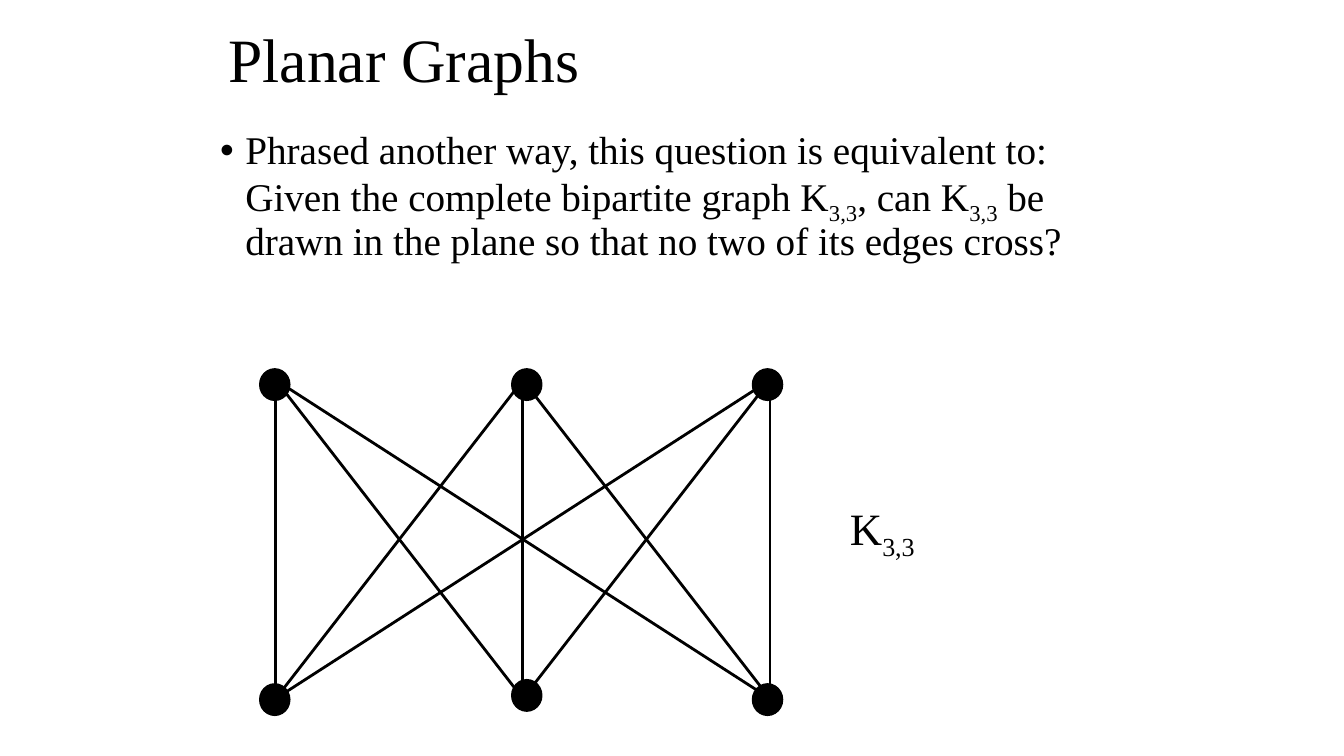
import itertools

import pptx
import pptx.dml.color
import pptx.enum.shapes
import pptx.enum.text
import pptx.oxml.ns
import pptx.util
from lxml import etree

Pt = pptx.util.Pt


def colour(hex_string):
    return pptx.dml.color.RGBColor.from_string(hex_string)


def write(paragraph, text, *, size, font, ink, subscript=False):
    run = paragraph.add_run()
    run.text = text
    run.font.size = Pt(size)
    run.font.name = font
    run.font.color.rgb = colour(ink)
    if subscript:
        run._r.get_or_add_rPr().set("baseline", "-25000")


class SlideBuilder:
    font = "Times New Roman"
    ink = "000000"
    line_width = 2

    def __init__(self, slide):
        self.slide = slide
        self.group = None

    def place(self, shape, left, top, width, height):
        shape.left, shape.top = Pt(left), Pt(top)
        shape.width, shape.height = Pt(width), Pt(height)

    def fill_text(self, paragraph, pieces, size):
        """Write pieces in turn; every second one is a subscript."""
        for index, piece in enumerate(pieces):
            write(paragraph, piece, size=size, font=self.font, ink=self.ink,
                  subscript=index % 2 == 1)

    def title(self, text, *box):
        shape = self.slide.shapes.title
        self.place(shape, *box)
        frame = shape.text_frame
        frame.auto_size = pptx.enum.text.MSO_AUTO_SIZE.NONE
        frame.vertical_anchor = pptx.enum.text.MSO_ANCHOR.MIDDLE
        paragraph = frame.paragraphs[0]
        paragraph.alignment = pptx.enum.text.PP_ALIGN.LEFT
        paragraph.line_spacing = 0.9
        self.fill_text(paragraph, [text], 44)

    def bullet(self, pieces, *box):
        shape = self.slide.placeholders[1]
        self.place(shape, *box)
        frame = shape.text_frame
        frame.auto_size = pptx.enum.text.MSO_AUTO_SIZE.NONE
        paragraph = frame.paragraphs[0]
        paragraph.line_spacing = 0.9
        paragraph.space_before = Pt(0)
        properties = paragraph._p.get_or_add_pPr()
        properties.set("marL", str(Pt(18)))
        properties.set("indent", str(-Pt(18)))
        for tag, key, value in (("a:buFont", "typeface", "Arial"),
                                ("a:buChar", "char", "•")):
            etree.SubElement(properties, pptx.oxml.ns.qn(tag)).set(key, value)
        self.fill_text(paragraph, pieces, 28)

    def label(self, pieces, left, top, width, height):
        shape = self.slide.shapes.add_textbox(
            Pt(left), Pt(top), Pt(width), Pt(height))
        shape.text_frame.word_wrap = True
        self.fill_text(shape.text_frame.paragraphs[0], pieces, 32)

    def start_group(self):
        self.group = self.slide.shapes.add_group_shape()

    def edge(self, start, end):
        connector = self.group.shapes.add_connector(
            pptx.enum.shapes.MSO_CONNECTOR.STRAIGHT,
            Pt(start[0]), Pt(start[1]), Pt(end[0]), Pt(end[1]))
        connector.line.color.rgb = colour(self.ink)
        connector.line.width = Pt(self.line_width)
        etree.SubElement(connector._element.spPr,
                         pptx.oxml.ns.qn("a:effectLst"))

    def vertex(self, left, top, width=20.5, height=21.5):
        shape = self.group.shapes.add_shape(
            pptx.enum.shapes.MSO_SHAPE.OVAL,
            Pt(left), Pt(top), Pt(width), Pt(height))
        shape.shadow.inherit = False
        shape.fill.solid()
        shape.fill.fore_color.rgb = colour(self.ink)
        shape.line.color.rgb = colour(self.ink)
        shape.line.width = Pt(self.line_width)


def main():
    presentation = pptx.Presentation()
    presentation.slide_width = Pt(960)
    presentation.slide_height = Pt(540)
    builder = SlideBuilder(
        presentation.slides.add_slide(presentation.slide_layouts[1]))

    # Title, question and graph name
    builder.title("Planar Graphs", 156, 12, 648, 66)
    builder.bullet(
        ["Phrased another way, this question is equivalent to: "
         "Given the complete bipartite graph K", "3,3", ", can K", "3,3",
         " be drawn in the plane so that no two of its edges cross?"],
        150, 90, 660, 156)
    builder.label(["K", "3,3"], 600, 354, 78, 45)

    # Every upper vertex is joined to every lower one
    builder.start_group()
    edge_columns = (197, 373.5, 550)
    for upper, lower in itertools.product(edge_columns, repeat=2):
        builder.edge((upper, 271.5), (lower, 499))

    # Vertices
    vertex_columns = (186, 366, 538)
    lower_tops = (489, 486, 489)
    for left, lower_top in zip(vertex_columns, lower_tops):
        builder.vertex(left, 264)
        builder.vertex(left, lower_top)

    presentation.save("out.pptx")


if __name__ == "__main__":
    main()
